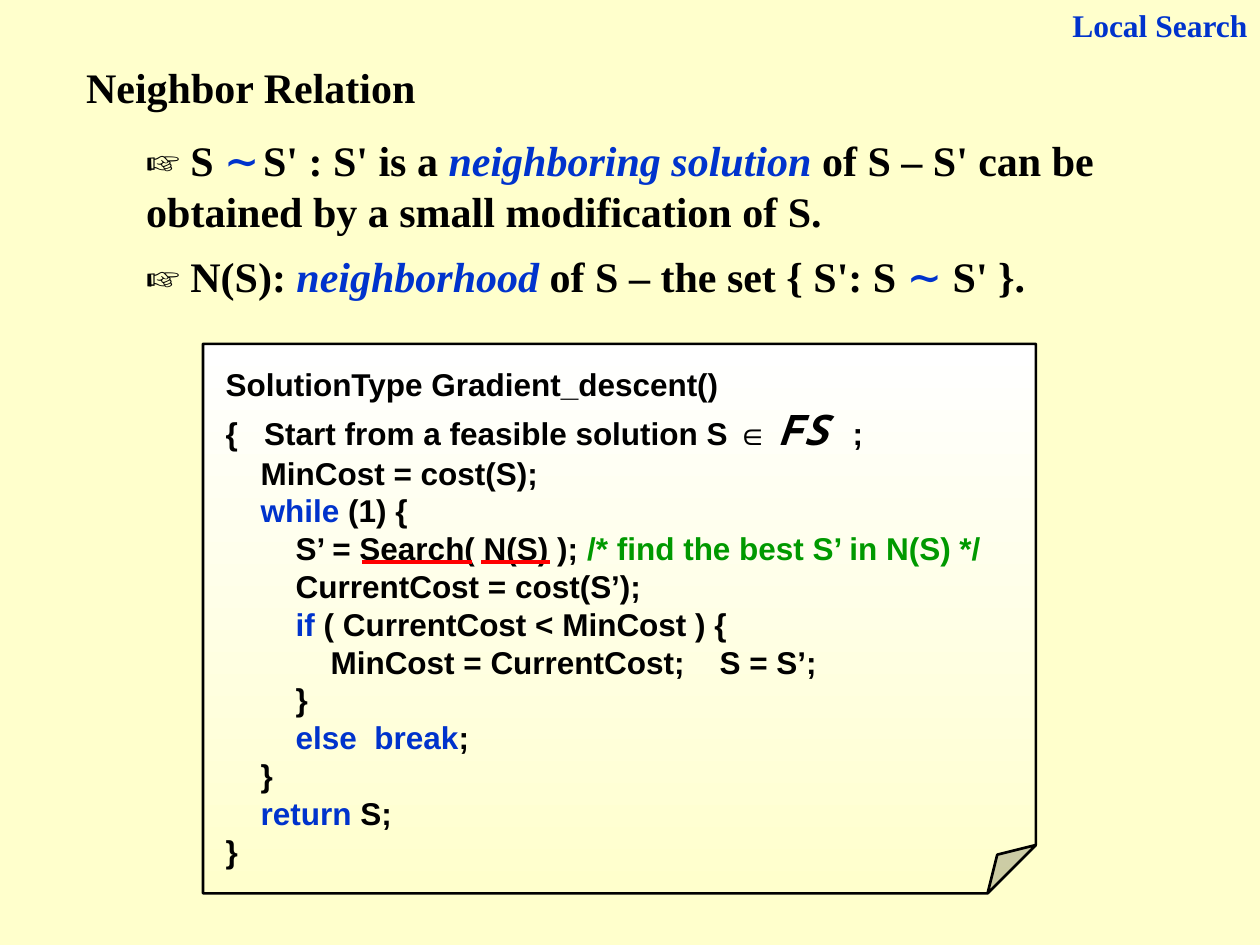
"""Build the slide on the neighbor relation in local search."""
import lxml.etree
import pptx
import pptx.dml.color
import pptx.enum.shapes
import pptx.enum.text
import pptx.oxml.ns
import pptx.util

Pt = pptx.util.Pt
RGB = pptx.dml.color.RGBColor
ALIGN = pptx.enum.text.PP_ALIGN
qn = pptx.oxml.ns.qn

BLACK = RGB(0, 0, 0)
WHITE = RGB(255, 255, 255)
CREAM = RGB(255, 255, 204)
BLUE = RGB(0, 51, 204)
GREEN = RGB(0, 153, 0)
RED = RGB(255, 0, 0)

SERIF = "Times New Roman"
SANS = "Arial"
MONO = "Noto Sans Mono"

PLAIN = {}
KEY = {"color": BLUE}
TERM = {"color": BLUE, "italic": True}
NOTE = {"color": GREEN}
SET = {"name": MONO, "size": 24, "italic": True}

TITLE = [[("Neighbor Relation", PLAIN)]]
TOPIC = [[("Local Search", KEY)]]
POINTS = [
    (73.5, 65, [
        ("☞ S ", PLAIN), ("∼", KEY), (" S' : S' is a ", PLAIN),
        ("neighboring solution", TERM),
        (" of S – S' can be obtained by a small modification of S.", PLAIN),
    ]),
    (139.5, 36, [
        ("☞ N(S): ", PLAIN), ("neighborhood ", TERM),
        ("of S – the set { S': S ", PLAIN), ("∼", KEY), (" S' }.", PLAIN),
    ]),
]
CODE = [
    [("SolutionType Gradient_descent()", PLAIN)],
    [("{   Start from a feasible solution S ∈ ", PLAIN), ("FS ", SET), (";", PLAIN)],
    [("    MinCost = cost(S);", PLAIN)],
    [("    ", PLAIN), ("while", KEY), (" (1) {", PLAIN)],
    [("        S’ = Search( N(S) ); ", PLAIN), ("/* find the best S’ in N(S) */", NOTE)],
    [("        CurrentCost = cost(S’);", PLAIN)],
    [("        ", PLAIN), ("if", KEY), (" ( CurrentCost < MinCost ) {", PLAIN)],
    [("            MinCost = CurrentCost;    S = S’;", PLAIN)],
    [("        }", PLAIN)],
    [("        ", PLAIN), ("else  break", KEY), (";", PLAIN)],
    [("    }", PLAIN)],
    [("    ", PLAIN), ("return", KEY), (" S;", PLAIN)],
    [("}", PLAIN)],
]
FOLD = 8800
MARKS = [(206.8, 269.5), (275, 314.5)]
MARK_TOP = 321.3


def write(shape, lines, name, size, align=ALIGN.LEFT):
    frame = shape.text_frame
    frame.word_wrap = True
    frame.auto_size = pptx.enum.text.MSO_AUTO_SIZE.NONE
    frame.vertical_anchor = pptx.enum.text.MSO_ANCHOR.TOP
    for i, line in enumerate(lines):
        para = frame.add_paragraph() if i else frame.paragraphs[0]
        para.alignment = align
        for text, style in line:
            run = para.add_run()
            run.text = text
            font = run.font
            font.name = style.get("name", name)
            font.size = Pt(style.get("size", size))
            font.bold = True
            font.italic = style.get("italic", False)
            font.color.rgb = style.get("color", BLACK)


def add_code(slide):
    kind = pptx.enum.shapes.MSO_SHAPE.FOLDED_CORNER
    card = slide.shapes.add_shape(kind, Pt(116), Pt(196.5), Pt(476), Pt(314))
    guides = next(card._element.iter(qn("a:avLst")))
    for guide in list(guides):
        guides.remove(guide)
    lxml.etree.SubElement(guides, qn("a:gd"), name="adj", fmla=f"val {FOLD}")
    card.shadow.inherit = False
    card.fill.gradient()
    card.fill.gradient_angle = 270
    for stop, color, place in zip(card.fill.gradient_stops, (WHITE, CREAM), (0, 1)):
        stop.color.rgb = color
        stop.position = place
    card.line.color.rgb = BLACK
    card.line.width = Pt(1.5)
    frame = card.text_frame
    frame.margin_left, frame.margin_top = Pt(13), Pt(12.25)
    frame.margin_right, frame.margin_bottom = Pt(7.2), Pt(3.6)
    write(card, CODE, SANS, 18)


def add_mark(slide, start, end):
    kind = pptx.enum.shapes.MSO_CONNECTOR.STRAIGHT
    mark = slide.shapes.add_connector(kind, Pt(start), Pt(MARK_TOP), Pt(end), Pt(MARK_TOP))
    mark.line.color.rgb = RED
    mark.line.width = Pt(2)
    lxml.etree.SubElement(mark._element.spPr, qn("a:effectLst"))


def main():
    deck = pptx.Presentation()
    deck.slide_width, deck.slide_height = Pt(720), Pt(540)
    slide = deck.slides.add_slide(deck.slide_layouts[5])
    slide.background.fill.solid()
    slide.background.fill.fore_color.rgb = CREAM

    title = slide.shapes.title
    title.left, title.top, title.width, title.height = Pt(42), Pt(31.7), Pt(244), Pt(36)
    write(title, TITLE, SERIF, 24)

    add_code(slide)
    topic = slide.shapes.add_textbox(Pt(564.5), Pt(0), Pt(155.5), Pt(29))
    write(topic, TOPIC, SERIF, 18, ALIGN.RIGHT)
    for top, height, line in POINTS:
        point = slide.shapes.add_textbox(Pt(76.5), Pt(top), Pt(561.5), Pt(height))
        write(point, [line], SERIF, 24)
    for start, end in MARKS:
        add_mark(slide, start, end)
    deck.save("out.pptx")


if __name__ == "__main__":
    main()
